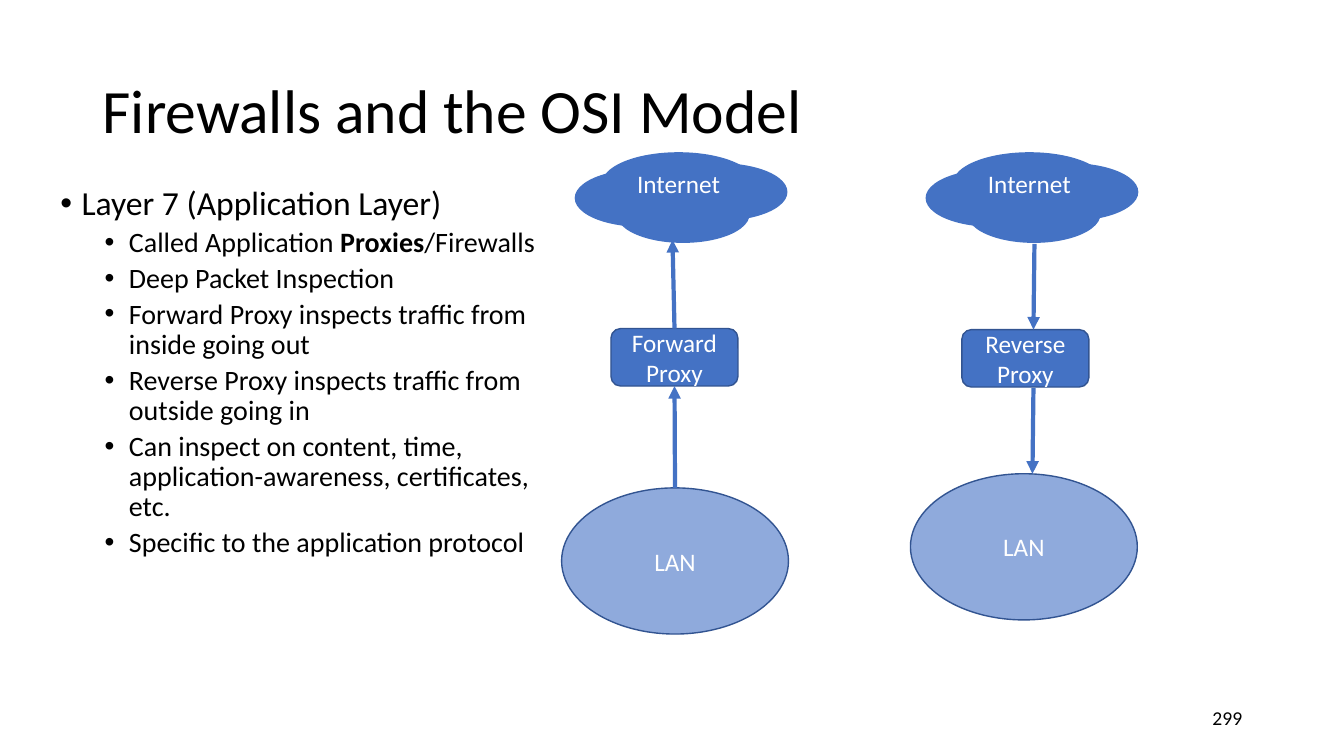
import pptx
import pptx.util
import pptx.dml.color
import pptx.enum.shapes
import pptx.enum.text
import pptx.oxml

THEME = {
    "font": "Calibri", "ink": "000000", "light": "FFFFFF",
    "blue": "4472C4", "pale": "8FAADC", "edge": "325491",
    "title": 44, "head": 24, "body": 20, "label": 18, "page": 14,
    "thin": 1, "thick": 3,
}
SHAPE = pptx.enum.shapes.MSO_SHAPE
ALIGN = pptx.enum.text.PP_ALIGN
ANCHOR = pptx.enum.text.MSO_ANCHOR
RGB = pptx.dml.color.RGBColor.from_string
NS = 'xmlns:a="http://schemas.openxmlformats.org/drawingml/2006/main"'

deck = pptx.Presentation()
deck.slide_width = pptx.util.Inches(13.33)
deck.slide_height = pptx.util.Inches(7.5)
COL = deck.slide_width / 133.3
ROW = deck.slide_height / 75
slide = deck.slides.add_slide(deck.slide_layouts[6])


def grid(*cells):
    return [round(cell * unit) for cell, unit in zip(cells, (COL, ROW, COL, ROW))]


def style(item, size, ink, fill=None, edge=None):
    if fill:
        item.shadow.inherit = False
        item.fill.solid()
        item.fill.fore_color.rgb = RGB(fill)
        if edge:
            item.line.color.rgb = RGB(edge)
            item.line.width = pptx.util.Pt(THEME["thin"])
        else:
            item.line.fill.background()
        item.text_frame.vertical_anchor = ANCHOR.MIDDLE
    item.text_frame.word_wrap = True
    for para in item.text_frame.paragraphs:
        if fill:
            para.alignment = ALIGN.CENTER
        for run in para.runs:
            run.font.name = THEME["font"]
            run.font.size = pptx.util.Pt(size)
            run.font.color.rgb = RGB(ink)


title = slide.shapes.add_textbox(*grid(9.2, 4, 115, 14.5))
title.text_frame.text = "Firewalls and the OSI Model"
title.text_frame.vertical_anchor = ANCHOR.MIDDLE
title.text_frame.paragraphs[0].line_spacing = 0.9
style(title, THEME["title"], THEME["ink"])

points = [
    "Layer 7 (Application Layer)",
    "Called Application |Proxies|/Firewalls",
    "Deep Packet Inspection",
    "Forward Proxy inspects traffic from inside going out",
    "Reverse Proxy inspects traffic from outside going in",
    "Can inspect on content, time, application-awareness, certificates, etc.",
    "Specific to the application protocol",
]
body = slide.shapes.add_textbox(*grid(4.9, 18, 51.5, 47.6))
for rank, point in enumerate(points):
    para = body.text_frame.add_paragraph() if rank else body.text_frame.paragraphs[0]
    left, hang = (6.9, 2.4) if rank else (2.2, 2.1)
    props = para._p.get_or_add_pPr()
    props.set("marL", str(round(left * COL)))
    props.set("indent", str(round(-hang * COL)))
    props.append(pptx.oxml.parse_xml(f'<a:buFont {NS} typeface="Arial"/>'))
    props.append(pptx.oxml.parse_xml(f'<a:buChar {NS} char="•"/>'))
    para.line_spacing = 0.9
    if rank:
        para.level = 1
        para.space_before = pptx.util.Pt(4)
    for part, words in enumerate(point.split("|")):
        run = para.add_run()
        run.text = words
        run.font.bold = part == 1
style(body, THEME["body"], THEME["ink"])
body.text_frame.paragraphs[0].runs[0].font.size = pptx.util.Pt(THEME["head"])

page = slide.shapes.add_textbox(*grid(94.2, 69.5, 30, 4))
page.text_frame.text = "299"
page.text_frame.paragraphs[0].alignment = ALIGN.RIGHT
style(page, THEME["page"], THEME["ink"])

puffs = [
    (0, 16.8, 13.2, 5.7, ""),
    (2.7, 15.5, 13.2, 5.7, ""),
    (7.9, 16.2, 13.2, 5.7, ""),
    (4.15, 18.4, 13.2, 5.7, ""),
    (2.7, 15.1, 15.2, 6.2, "Internet"),
]
flows = [
    ("Reverse Proxy", 91.8, (95.4, 32.7), (90.3, 47),
     [(102.6, 24.2, 102.5, 32.7), (102.5, 38.5, 102.4, 47)]),
    ("Forward Proxy", 57, (60.6, 32.6), (55.7, 48.4),
     [(66.9, 32.6, 66.7, 23.8), (66.9, 48.4, 66.9, 38.3)]),
]
for name, cloud, spot, base, lines in flows:
    proxy = slide.shapes.add_shape(SHAPE.ROUNDED_RECTANGLE, *grid(*spot, 12.6, 5.7))
    proxy.text_frame.text = name
    style(proxy, THEME["label"], THEME["light"], THEME["blue"], THEME["edge"])

    group = slide.shapes.add_group_shape()
    for x, y, wide, high, label in puffs:
        puff = group.shapes.add_shape(SHAPE.OVAL, *grid(cloud + x, y, wide, high))
        puff.text_frame.text = label
        style(puff, THEME["label"], THEME["light"], THEME["blue"])

    lan = slide.shapes.add_shape(SHAPE.OVAL, *grid(*base, 22.5, 14.5))
    lan.text_frame.text = "LAN"
    style(lan, THEME["label"], THEME["light"], THEME["pale"], THEME["edge"])

    links = []
    for ends in lines:
        link = slide.shapes.add_connector(
            pptx.enum.shapes.MSO_CONNECTOR.STRAIGHT, *grid(*ends))
        link.line.color.rgb = RGB(THEME["blue"])
        link.line.width = pptx.util.Pt(THEME["thick"])
        link.line._get_or_add_ln().append(
            pptx.oxml.parse_xml(f'<a:tailEnd {NS} type="triangle"/>'))
        link._element.spPr.append(pptx.oxml.parse_xml(f"<a:effectLst {NS}/>"))
        links.append(link)
    if name == "Forward Proxy":
        links[0].begin_connect(proxy, 0)
        links[1].begin_connect(lan, 0)
        links[1].end_connect(proxy, 2)

deck.save("out.pptx")
